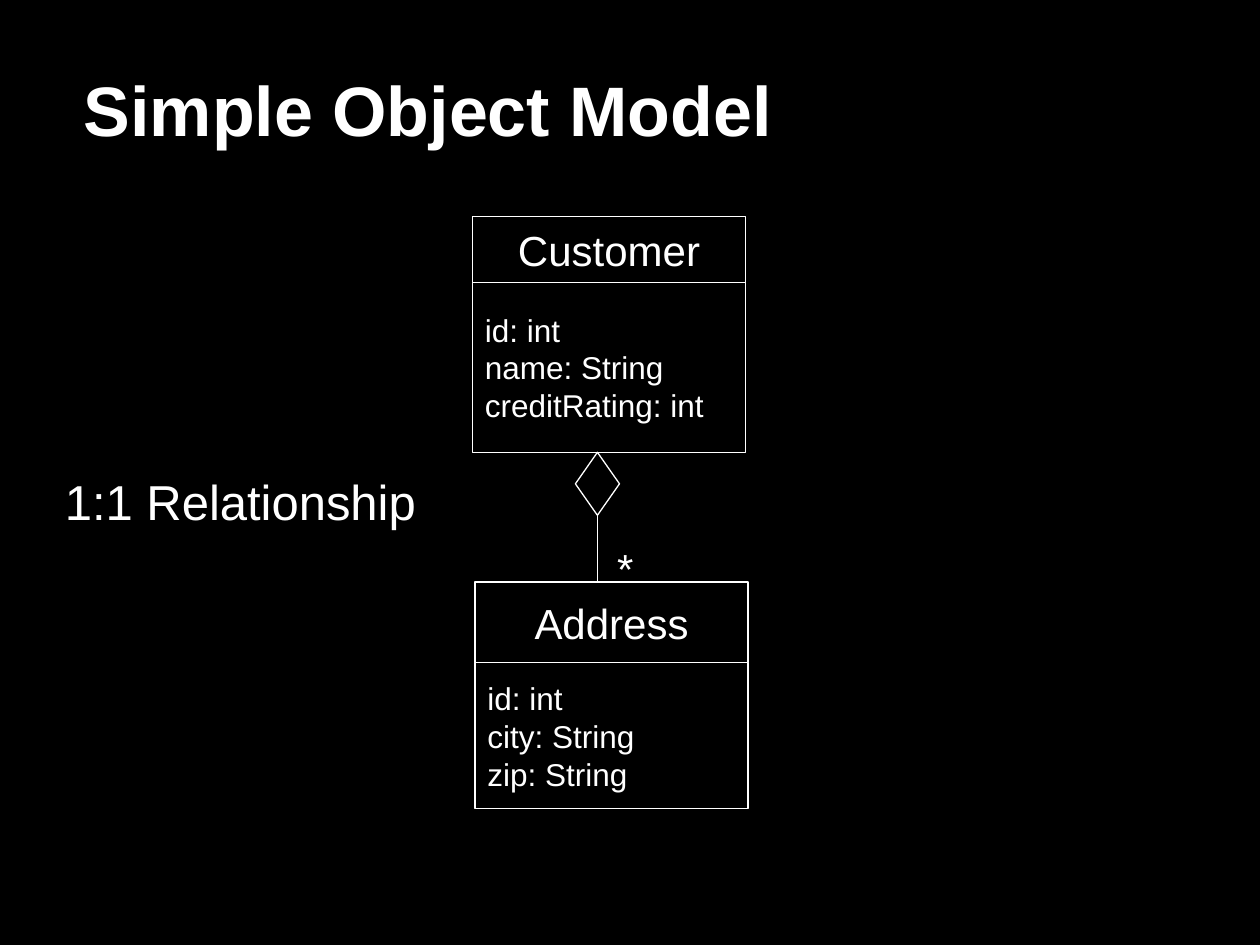
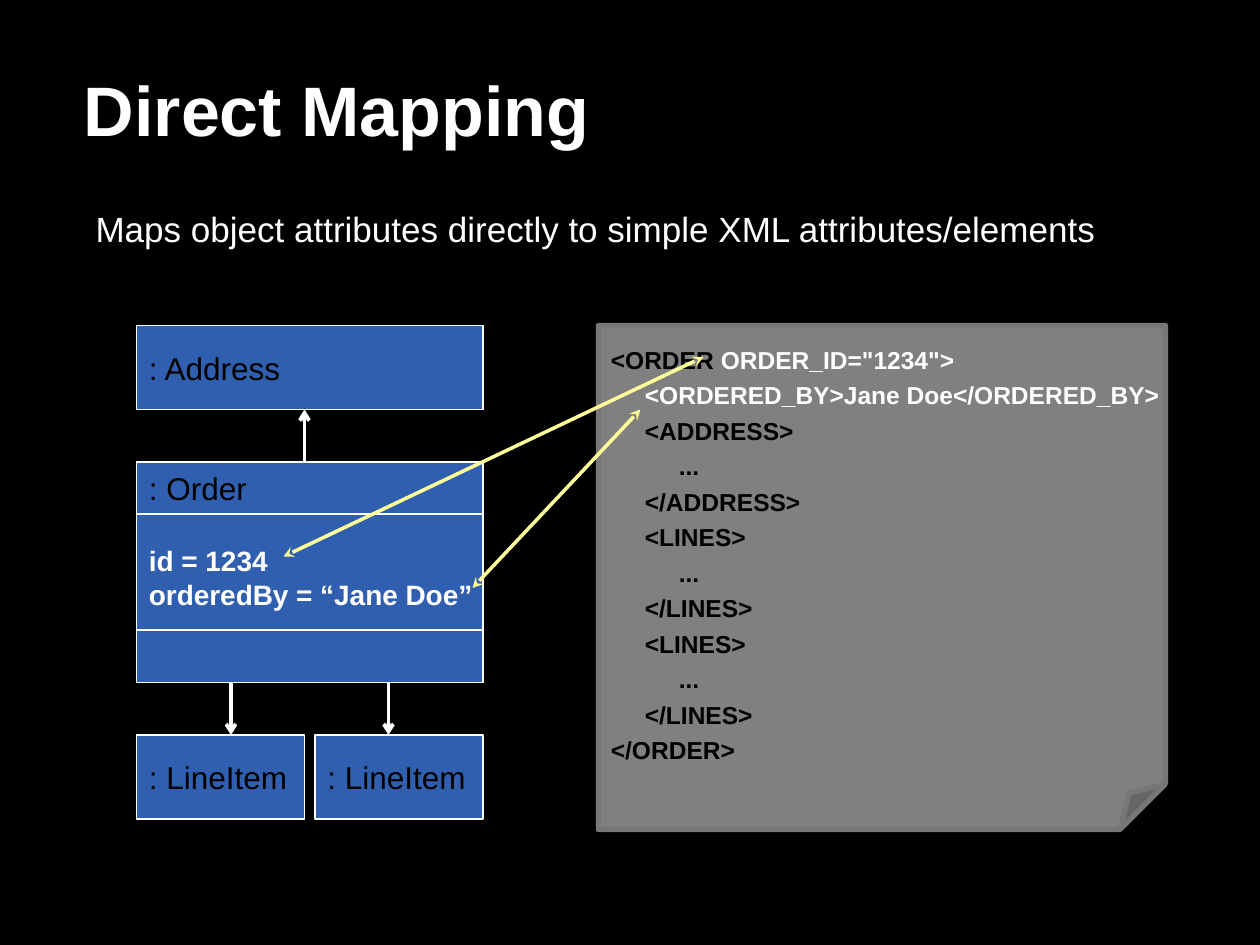
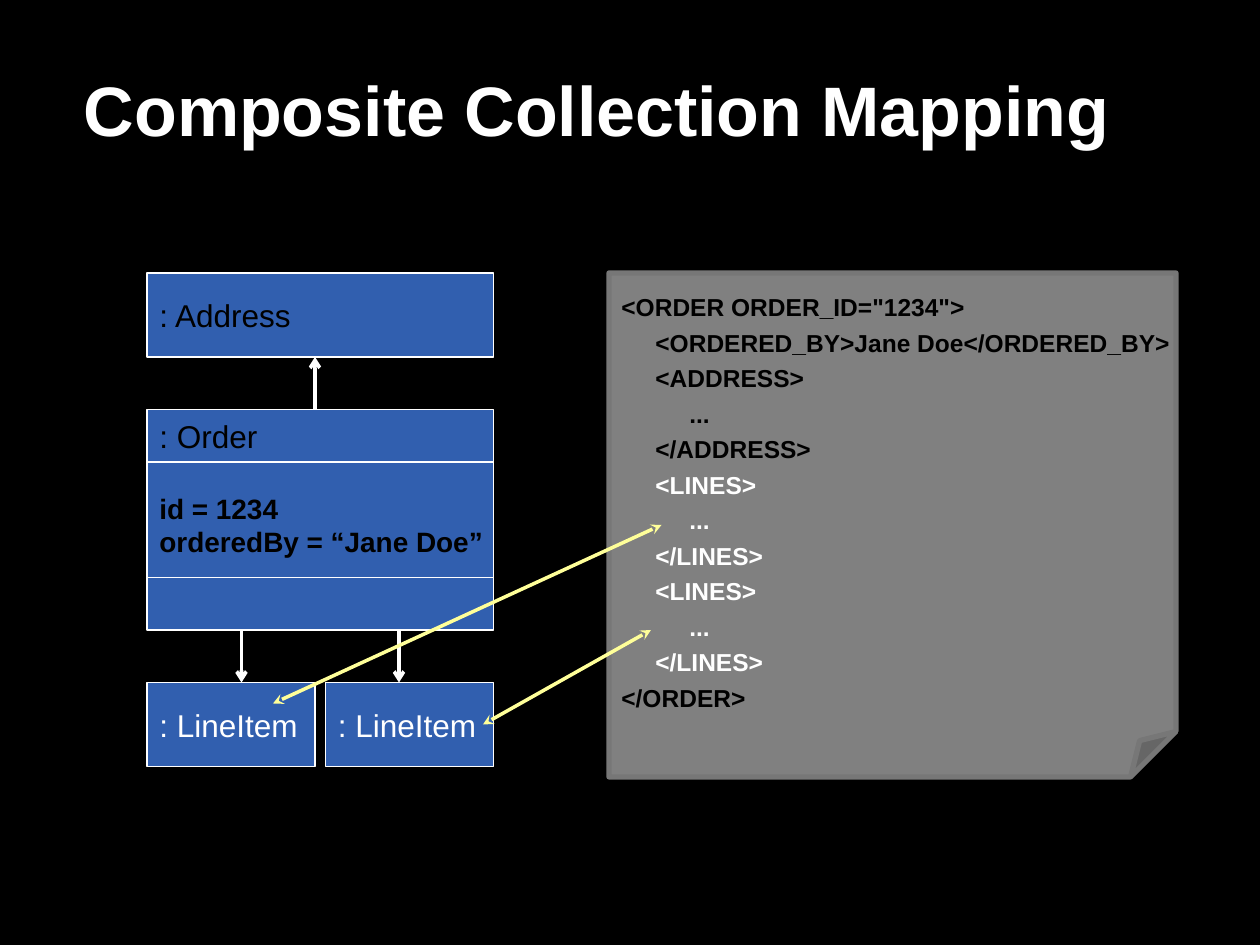
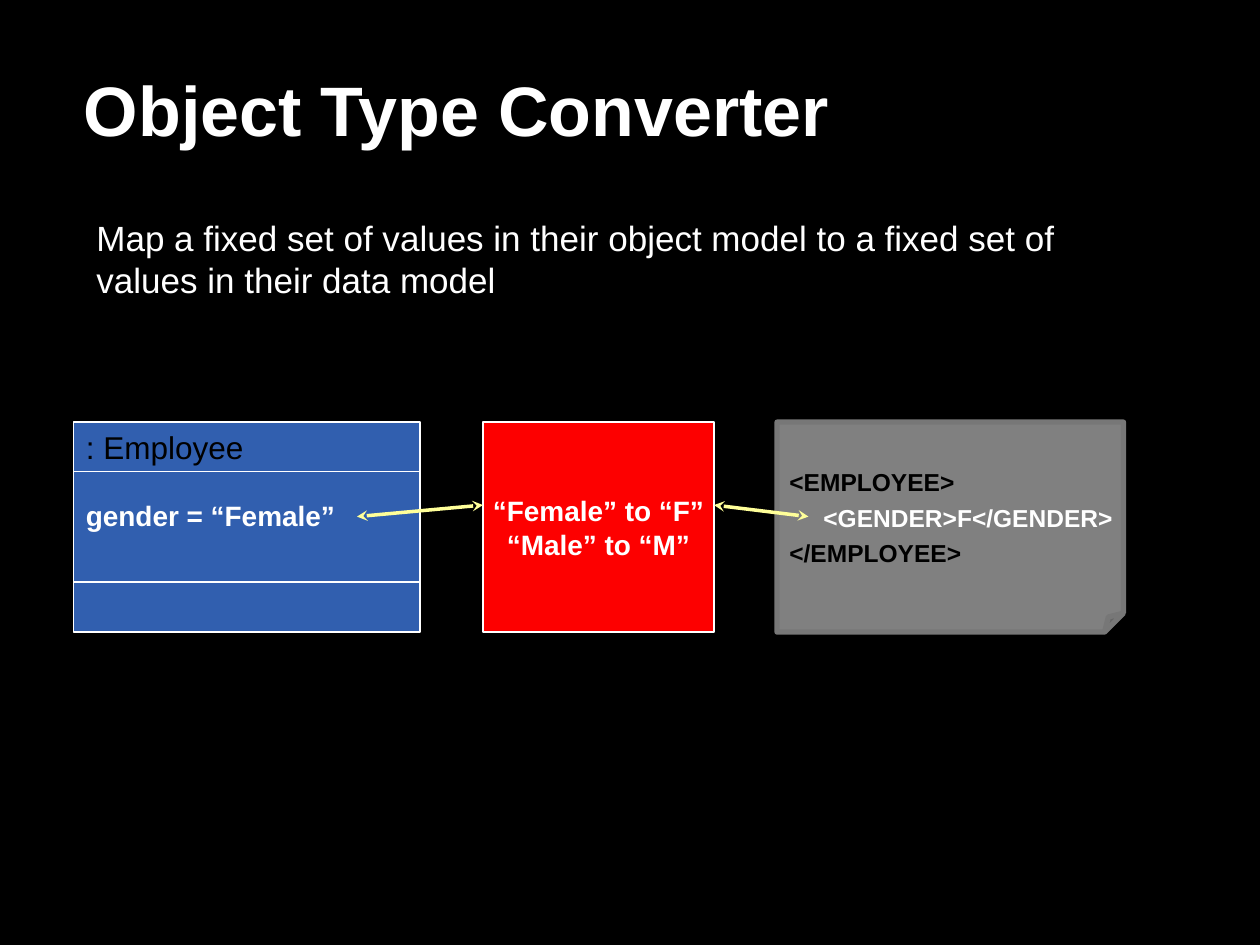
from dataclasses import dataclass

from lxml import etree
from pptx import Presentation
from pptx import util as u
from pptx.dml import color
from pptx.enum import shapes, text
from pptx.oxml import ns


@dataclass(frozen=True)
class Theme:
    font: str = "Arial"
    black: str = "000000"
    white: str = "FFFFFF"
    blue: str = "315FAF"
    red: str = "FD0000"
    paper: str = "808080"
    paper_edge: str = "777777"
    yellow: str = "FFFF99"
    title: int = 40
    relation: int = 28
    heading: int = 24
    lead: int = 20
    label: int = 18
    value: int = 16
    code: int = 14


theme = Theme()
deck = Presentation()
deck.slide_width, deck.slide_height = u.Inches(10), u.Inches(7.5)
cell = deck.slide_width / 120  # the grid has 120 columns and 90 rows

RECT = shapes.MSO_SHAPE.RECTANGLE
NOTE = shapes.MSO_SHAPE.FOLDED_CORNER
DIAMOND = shapes.MSO_SHAPE.FLOWCHART_DECISION


def place(page, area, lines=(), kind=None, fill=None, edge=theme.white, weight=1,
          size=theme.label, ink=theme.white, bold=False, align=text.PP_ALIGN.LEFT,
          middle=True, wrap=False, before=0, leading=None, margins=None):
    """Add a shape, or a text box without a kind; a line is a string or (text, ink) spans."""
    where = [round(length * cell) for length in area]
    if kind is None:
        box = page.shapes.add_textbox(*where)
    else:
        box = page.shapes.add_shape(kind, *where)
        box.shadow.inherit = False
        box.line.color.rgb = color.RGBColor.from_string(edge)
        box.line.width = u.Pt(weight)
        if fill:
            box.fill.solid()
            box.fill.fore_color.rgb = color.RGBColor.from_string(fill)
        else:
            box.fill.background()
    if kind == NOTE:
        # python-pptx lists no adjustment for this preset, so the fold is set in XML
        geometry = box._element.spPr.find(ns.qn("a:prstGeom"))
        geometry.set("prst", "foldedCorner")
        etree.SubElement(geometry.find(ns.qn("a:avLst")), ns.qn("a:gd"),
                         name="adj", fmla="val 9000")
    frame = box.text_frame
    frame.word_wrap = wrap
    frame.vertical_anchor = text.MSO_ANCHOR.MIDDLE if middle else text.MSO_ANCHOR.TOP
    if margins:
        (frame.margin_left, frame.margin_top,
         frame.margin_right, frame.margin_bottom) = [u.Inches(m) for m in margins]
    for number, line in enumerate(lines):
        para = frame.add_paragraph() if number else frame.paragraphs[0]
        para.alignment = align
        if number and before:
            para.space_before = u.Pt(before)
        if leading:
            para.line_spacing = leading
        for words, tint in [(line, ink)] if isinstance(line, str) else line:
            span = para.add_run()
            span.text = words
            span.font.name, span.font.size, span.font.bold = theme.font, u.Pt(size), bold
            span.font.color.rgb = color.RGBColor.from_string(tint)
    return box


def link(page, start, end, ink=theme.white, weight=2, head=None, tail=None):
    """Draw a straight line between two grid points, with optional arrowheads."""
    points = [round(length * cell) for length in (*start, *end)]
    line = page.shapes.add_connector(shapes.MSO_CONNECTOR.STRAIGHT, *points)
    line.line.color.rgb = color.RGBColor.from_string(ink)
    line.line.width = u.Pt(weight)
    properties = line._element.spPr
    outline = properties.find(ns.qn("a:ln"))
    for tag, tip in (("a:headEnd", head), ("a:tailEnd", tail)):
        if tip:
            etree.SubElement(outline, ns.qn(tag), type=tip)
    etree.SubElement(properties, ns.qn("a:effectLst"))
    return line


# Formats that several slides share
blue_box = dict(kind=RECT, fill=theme.blue)
note = dict(kind=NOTE, fill=theme.paper, edge=theme.paper_edge, weight=3,
            size=theme.code, bold=True, before=3.5)
mapping = dict(ink=theme.yellow, head="stealth", tail="stealth")

# Black background, pages and titles
background = deck.slide_master.background.fill
background.solid()
background.fore_color.rgb = color.RGBColor.from_string(theme.black)
pages = []
for title in ("Simple Object Model", "Direct Mapping",
              "Composite Collection Mapping", "Object Type Converter"):
    page = deck.slides.add_slide(deck.slide_layouts[6])
    place(page, (8, 4, 98, 14), [title], size=theme.title, bold=True, wrap=True,
          leading=0.85, margins=(0, 0, 0, 0))
    pages.append(page)
model_page, direct_page, collection_page, converter_page = pages

# Slide 1: two classes, each a name over its fields
classes = [
    (45, 20.64, 6.24, 16.2, "Customer", ["id: int", "name: String", "creditRating: int"]),
    (45.24, 55.44, 7.68, 13.92, "Address", ["id: int", "city: String", "zip: String"]),
]
for left, top, name_height, fields_height, name, fields in classes:
    place(model_page, (left, top, 26, name_height), [name], kind=RECT, weight=0.75,
          size=theme.heading, align=text.PP_ALIGN.CENTER)
    place(model_page, (left, top + name_height, 26, fields_height), fields,
          kind=RECT, weight=0.75)

# Slide 1: the relationship between them
diamond = place(model_page, (54.8, 43.08, 4.2, 6), kind=DIAMOND, weight=0.75)
stem = link(model_page, (56.9, 49.08), (56.9, 55.44), weight=0.75)
stem.begin_connect(diamond, 2)
place(model_page, (57.6, 51.1, 4, 6), ["*"], size=theme.heading, middle=False)
place(model_page, (5, 44.3, 35.8, 6.8), ["1:1 Relationship"], size=theme.relation,
      middle=False)

# Slides 2 and 3: the same order and document, with other parts highlighted
order_code = [
    "<ORDER ORDER_ID=\"1234\">",
    "     <ORDERED_BY>Jane Doe</ORDERED_BY>",
    "     <ADDRESS>",
    "          ...",
    "     </ADDRESS>",
    "     <LINES>",
    "          ...",
    "     </LINES>",
    "     <LINES>",
    "          ...",
    "     </LINES>",
    "</ORDER>",
]
order_views = [
    (direct_page, 13, 31, range(1, 2), theme.white, theme.black,
     [((27, 53), (67, 34)), ((45, 56), (61, 39))]),
    (collection_page, 14, 26, range(5, 11), theme.black, theme.white,
     [((26, 67), (63, 50)), ((46, 69), (62, 60))]),
]
for page, left, top, bright, value_ink, item_ink, mappings in order_views:
    code = [[(line, theme.white if row in bright else theme.black)]
            for row, line in enumerate(order_code)]
    if page is direct_page:
        code[0] = [("<ORDER ", theme.black), ("ORDER_ID=\"1234\">", theme.white)]
    place(page, (left + 44, top, 54, 48), code, **note)

    # Order object, address and line items
    place(page, (left, top + 13, 33, 5), [": Order"], ink=theme.black, **blue_box)
    place(page, (left, top + 18, 33, 12), ["id = 1234", "orderedBy = “Jane Doe”"],
          size=theme.value, bold=True, ink=value_ink, **blue_box)
    place(page, (left, top + 29, 33, 5), **blue_box)
    place(page, (left, top, 33, 8), [": Address"], ink=theme.black, **blue_box)
    for column in (0, 17):
        place(page, (left + column, top + 39, 16, 8), [": LineItem"], ink=item_ink,
              **blue_box)

    # References, then mappings into the document
    for column, start, end in ((16, 13, 8), (9, 34, 39), (24, 34, 39)):
        link(page, (left + column, top + start), (left + column, top + end), tail="arrow")
    for start, end in mappings:
        link(page, start, end, **mapping)

place(direct_page, (7.92, 18, 99, 6.8),
      ["Maps object attributes directly to simple XML attributes/elements"],
      size=theme.lead, middle=False, margins=(0.1, 0.15, 0.1, 0.05))

# Slide 4: employee, converter and document
place(converter_page, (74, 40.2, 33, 20),
      ["<EMPLOYEE>", [("     <GENDER>F</GENDER>", theme.white)], "</EMPLOYEE>"],
      ink=theme.black, **note)
place(converter_page, (7, 40.2, 33, 4.8), [": Employee"], ink=theme.black, **blue_box)
place(converter_page, (7, 44.9, 33, 11.4), ["gender = “Female”"], size=theme.value,
      bold=True, margins=(0.1, 0.05, 0.1, 0.31), **blue_box)
place(converter_page, (7, 55.4, 33, 4.8), **blue_box)
place(converter_page, (46, 40.2, 22, 20), ["“Female” to “F”", "“Male” to “M”"],
      kind=RECT, fill=theme.red, size=theme.value, bold=True,
      align=text.PP_ALIGN.CENTER)
for start, end in (((68, 48.1), (77, 49.2)), ((34, 49.2), (46, 48.1))):
    link(converter_page, start, end, **mapping)
place(converter_page, (8, 20, 104, 9.2),
      ["Map a fixed set of values in their object model to a fixed set of",
       "values in their data model"],
      size=theme.lead, middle=False, wrap=True)

deck.save("out.pptx")
